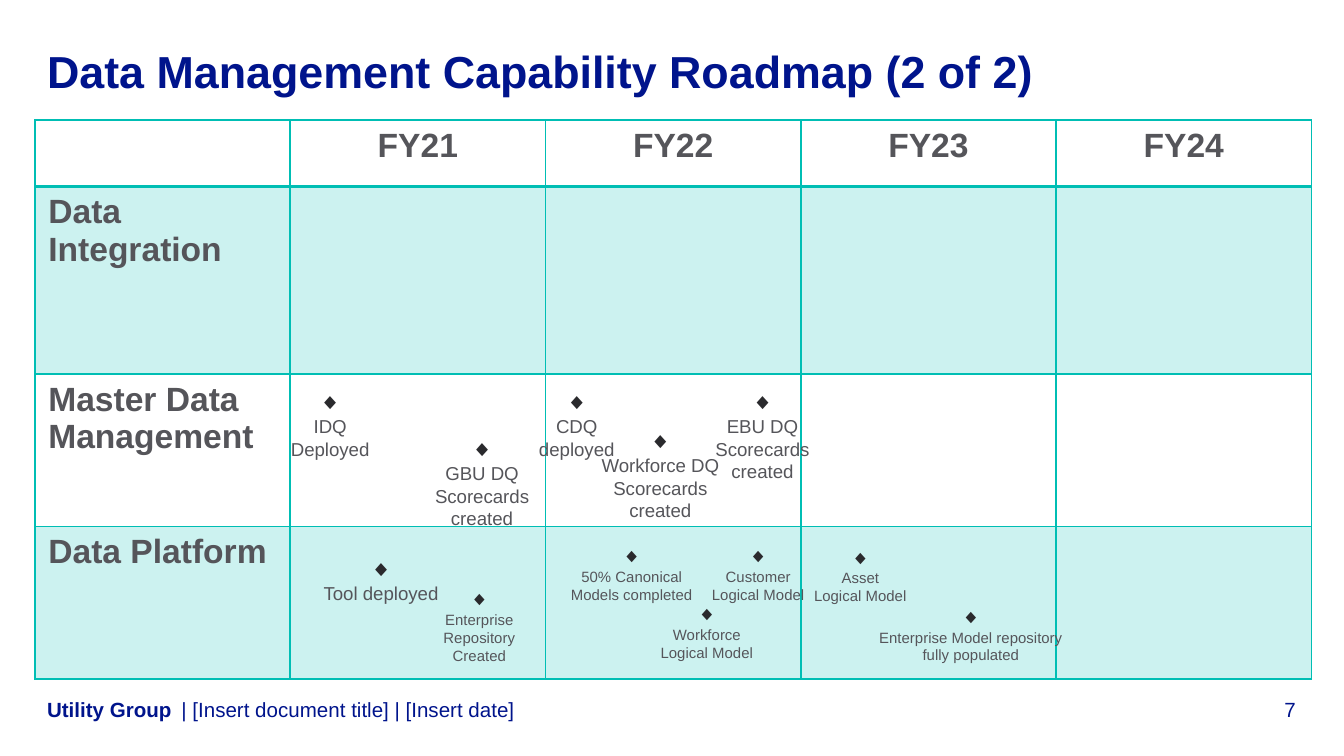
from collections import namedtuple

from lxml.etree import SubElement
from pptx import Presentation
from pptx.dml.color import RGBColor
from pptx.enum.text import MSO_ANCHOR as Anchor, PP_ALIGN as Align
from pptx.oxml.ns import qn
from pptx.util import Cm, Pt

Box = namedtuple("Box", "left top width height")
Milestone = namedtuple("Milestone", "center top width lines sizes")

NAVY, GREY, INK, TEAL = "00148C", "55555A", "2A2A2D", "00BEB4"
LARGE, SMALL = (12, 10), (10.5, 8)  # marker and label sizes in points

YEARS = ["FY21", "FY22", "FY23", "FY24"]
STREAMS = ["Data Integration", "Master Data Management", "Data Platform"]
ROW_HEIGHTS = [1.25, 3.55, 2.88, 2.88]

MASTER_DATA = [
    Milestone(5.58, 0.27, 1.5, ["IDQ", "Deployed"], LARGE),
    Milestone(8.45, 1.16, 1.9, ["GBU DQ", "Scorecards", "created"], LARGE),
    Milestone(10.24, 0.27, 1.5, ["CDQ", "deployed"], LARGE),
    Milestone(11.82, 1.01, 2.36, ["Workforce DQ", "Scorecards", "created"], LARGE),
    Milestone(13.75, 0.27, 1.9, ["EBU DQ", "Scorecards", "created"], LARGE),
]
PLATFORM = [
    Milestone(6.54, 0.54, 2.3, ["Tool deployed"], LARGE),
    Milestone(8.4, 1.15, 1.4, ["Enterprise", "Repository", "Created"], SMALL),
    Milestone(11.28, 0.34, 2.34, ["50% Canonical", "Models completed"], SMALL),
    Milestone(12.7, 1.43, 1.78, ["Workforce", "Logical Model"], SMALL),
    Milestone(13.67, 0.34, 1.78, ["Customer", "Logical Model"], SMALL),
    Milestone(15.6, 0.36, 1.78, ["Asset", "Logical Model"], SMALL),
    Milestone(17.69, 1.48, 3.58, ["Enterprise Model repository", "fully populated"], SMALL),
]


def color(value):
    return RGBColor.from_string(value)


def style(para, size, tint, bold=False, align=Align.LEFT):
    para.alignment = align
    for span in para.runs:
        font = span.font
        font.name, font.size, font.bold = "Arial", Pt(size), bold
        font.color.rgb = color(tint)


def add_text(page, box, text, anchor=Anchor.TOP, wrap=False):
    frame = page.shapes.add_textbox(*map(Cm, box)).text_frame
    frame.margin_left = frame.margin_right = 0
    frame.margin_top = frame.margin_bottom = 0
    frame.word_wrap, frame.vertical_anchor = wrap, anchor
    frame.text = text
    return frame.paragraphs


def add_title(page, box):
    paras = add_text(page, box, "Data Management Capability Roadmap (2 of 2)",
                     Anchor.MIDDLE, wrap=True)
    style(paras[0], 24, NAVY, bold=True)


def add_footer(page, box):
    """Place the owner, the document line and the page number."""
    owner_width, number_width = 2.54, 1.48
    owner = box._replace(width=owner_width)
    document = box._replace(left=box.left + owner_width,
                            width=box.width - owner_width - number_width)
    number = box._replace(left=box.left + box.width - number_width, width=number_width)
    for part, text, bold, align in [
        (owner, "Utility Group", True, Align.LEFT),
        (document, "| [Insert document title] | [Insert date]", False, Align.LEFT),
        (number, "7", False, Align.RIGHT),
    ]:
        paras = add_text(page, part, text, Anchor.BOTTOM, wrap=True)
        style(paras[0], 11, NAVY, bold, align)


def add_borders(cell, widths):
    """Draw cell borders; widths maps L, R, T, B to points."""
    properties = cell._tc.get_or_add_tcPr()
    for side, width in widths.items():
        line = SubElement(properties, qn(f"a:ln{side}"), w=str(Pt(width)))
        fill = SubElement(line, qn("a:solidFill"))
        SubElement(fill, qn("a:srgbClr"), val=TEAL)


def tint_cell(cell):
    cell.fill.solid()
    cell.fill.fore_color.rgb = color(TEAL)
    shade = cell._tc.tcPr.find(qn("a:solidFill")).find(qn("a:srgbClr"))
    SubElement(shade, qn("a:alpha"), val="20000")


def add_grid(page, box):
    labels = [["", *YEARS]] + [[name] + [""] * len(YEARS) for name in STREAMS]
    rows, columns = len(labels), len(labels[0])
    table = page.shapes.add_table(rows, columns, *map(Cm, box)).table
    table.first_row = table.horz_banding = False
    for column in table.columns:
        column.width = Cm(box.width / columns)
    for r, row_labels in enumerate(labels):
        table.rows[r].height = Cm(ROW_HEIGHTS[r])
        for c, label in enumerate(row_labels):
            cell = table.cell(r, c)
            add_borders(cell, {"L": 1, "R": 1, "T": 2 if r == 1 else 1,
                               "B": 2 if r == 0 else 1})
            if r % 2:
                tint_cell(cell)
            else:
                cell.fill.background()
            cell.text = label
            para = cell.text_frame.paragraphs[0]
            para.space_after = Pt(6)
            style(para, 18, GREY, True, Align.CENTER if r == 0 else Align.LEFT)


def add_milestones(page, box, milestones):
    for item in milestones:
        marker_size, label_size = item.sizes
        height = 0.042 * (marker_size + label_size * len(item.lines))
        place = Box(box.left + item.center - item.width / 2, box.top + item.top,
                    item.width, height)
        marker, *labels = add_text(page, place, "\n".join(["◆", *item.lines]))
        style(marker, marker_size, INK, align=Align.CENTER)
        for para in labels:
            style(para, label_size, GREY, align=Align.CENTER)


def main():
    deck = Presentation()
    deck.slide_width, deck.slide_height = Cm(25.4), Cm(14.29)
    page = deck.slides.add_slide(deck.slide_layouts[6])

    grid = Box(0.66, 2.27, 24.13, sum(ROW_HEIGHTS))
    row_boxes = [grid._replace(top=grid.top + sum(ROW_HEIGHTS[:r]), height=height)
                 for r, height in enumerate(ROW_HEIGHTS)]

    add_grid(page, grid)
    add_footer(page, Box(0.89, 13.16, 23.6, 0.48))
    add_title(page, Box(0.89, 0.74, 23.6, 1.19))
    add_milestones(page, row_boxes[2], MASTER_DATA)
    add_milestones(page, row_boxes[3], PLATFORM)
    deck.save("out.pptx")


if __name__ == "__main__":
    main()
